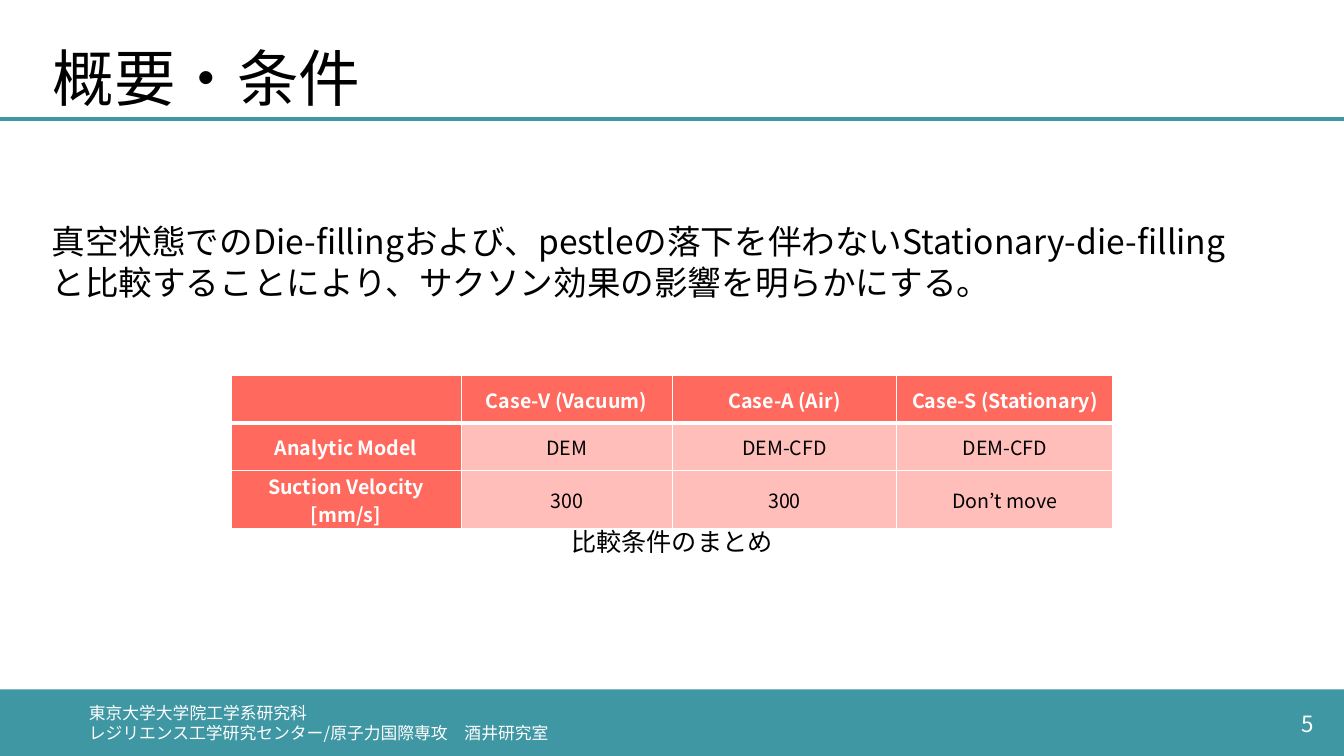
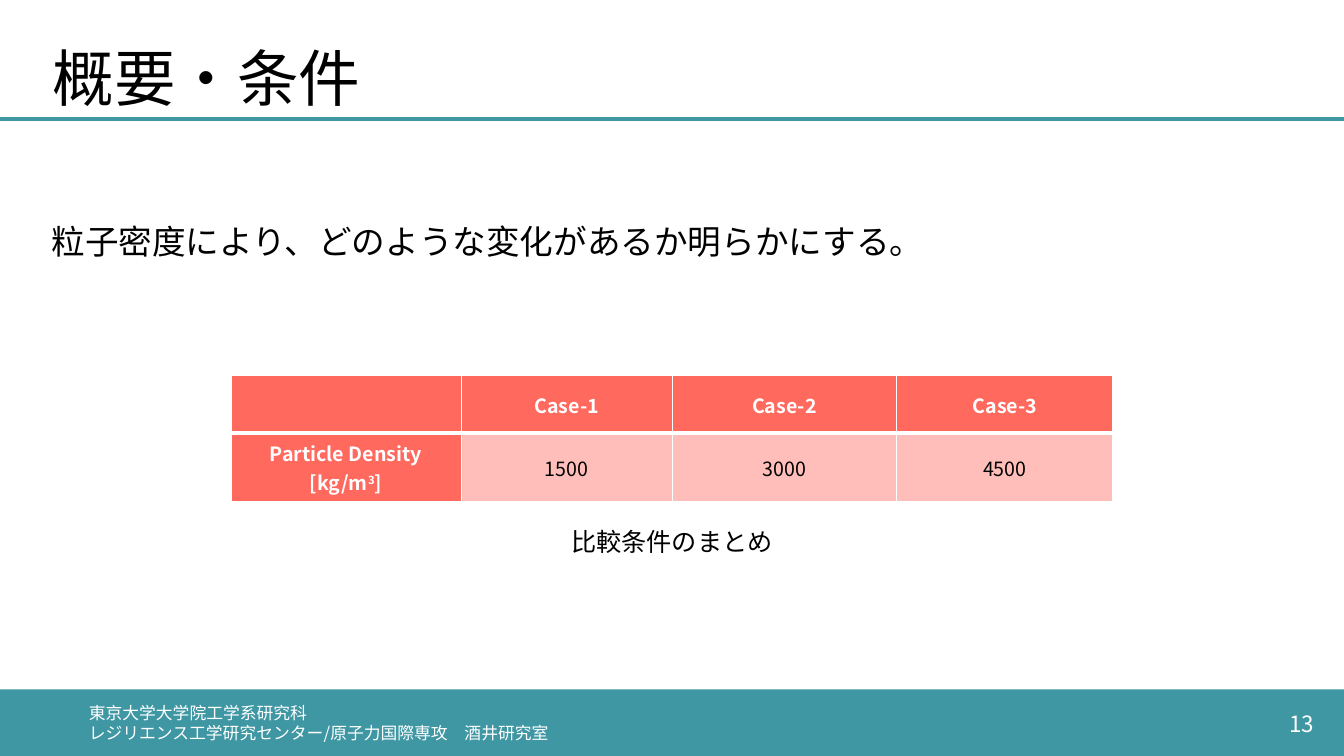
from lxml import etree
from pptx import Presentation
from pptx.dml.color import RGBColor
from pptx.enum.shapes import MSO_SHAPE
from pptx.enum.text import MSO_ANCHOR, MSO_AUTO_SIZE, PP_ALIGN
from pptx.oxml.ns import qn
from pptx.util import Cm, Pt

FONT = "Noto Sans CJK JP"
TEAL = RGBColor(0x3F, 0x97, 0xA4)
CORAL = RGBColor(0xFF, 0x69, 0x5E)
PINK = RGBColor(0xFF, 0xBE, 0xB9)
WHITE = RGBColor(0xFF, 0xFF, 0xFF)
BLACK = RGBColor(0, 0, 0)

SLIDE_W, SLIDE_H = 33.87, 19.05
BANDS = [(17.37, 1.68), (2.95, 0.1)]
TABLE_LEFT, TABLE_TOP = 5.82, 9.45
COL_WIDTHS = [5.8, 5.32, 5.66, 5.45]
TABLE_W = sum(COL_WIDTHS)

TITLE = "概要・条件"
CAPTION = "比較条件のまとめ"
FOOTER = [
    "東京大学大学院工学系研究科",
    "レジリエンス工学研究センター/原子力国際専攻　酒井研究室",
]
SLIDES = [
    {
        "number": "5",
        "body": "真空状態でのDie-fillingおよび、pestleの落下を伴わない"
                "Stationary-die-fillingと比較することにより、"
                "サクソン効果の影響を明らかにする。",
        "body_height": 2.31,
        "row_heights": [1.2, 1.2, 1.46],
        "rows": [
            ["", "Case-V (Vacuum)", "Case-A (Air)", "Case-S (Stationary)"],
            ["Analytic Model", "DEM", "DEM-CFD", "DEM-CFD"],
            ["Suction Velocity [mm/s]", "300", "300", "Don’t move"],
        ],
    },
    {
        "number": "13",
        "body": "粒子密度により、どのような変化があるか明らかにする。",
        "body_height": 1.27,
        "row_heights": [1.46, 1.72],
        "rows": [
            ["", "Case-1", "Case-2", "Case-3"],
            ["Particle Density [kg/m^3^]", "1500", "3000", "4500"],
        ],
    },
]


def write(tf, lines, size, color=BLACK, bold=False, align=PP_ALIGN.LEFT, spacing=None):
    tf.word_wrap = True
    for i, line in enumerate(lines):
        p = tf.paragraphs[0] if i == 0 else tf.add_paragraph()
        p.alignment = align
        if spacing:
            p.line_spacing = spacing
        for j, part in enumerate(line.split("^")):
            r = p.add_run()
            r.text = part
            r.font.name = FONT
            r.font.size = Pt(size)
            r.font.bold = bold
            r.font.color.rgb = color
            rPr = r.font._element
            etree.SubElement(rPr, qn("a:ea"), typeface=FONT)
            if j % 2:
                rPr.set("baseline", "30000")


def add_text(s, left, top, width, height, lines, size, anchor=MSO_ANCHOR.TOP, **fmt):
    tf = s.shapes.add_textbox(Cm(left), Cm(top), Cm(width), Cm(height)).text_frame
    tf.vertical_anchor = anchor
    write(tf, lines, size, **fmt)


def add_bands(s, layout):
    for top, height in BANDS:
        sp = s.shapes.add_shape(MSO_SHAPE.RECTANGLE, 0, Cm(top), Cm(SLIDE_W), Cm(height))
        sp.shadow.inherit = False
        sp.fill.solid()
        sp.fill.fore_color.rgb = TEAL
        sp.line.fill.background()
        layout.shapes._spTree.append(sp._element)


def set_borders(cell, widths):
    tcPr = cell._tc.get_or_add_tcPr()
    for i, (side, width) in enumerate(widths.items()):
        ln = etree.Element(qn(f"a:ln{side}"), w=str(Pt(width)))
        fill = etree.SubElement(ln, qn("a:solidFill"))
        etree.SubElement(fill, qn("a:srgbClr"), val=str(WHITE))
        tcPr.insert(i, ln)


def add_cases(s, rows, heights):
    frame = s.shapes.add_table(len(rows), len(COL_WIDTHS), Cm(TABLE_LEFT), Cm(TABLE_TOP),
                               Cm(TABLE_W), Cm(sum(heights)))
    table = frame.table
    for column, width in zip(table.columns, COL_WIDTHS):
        column.width = Cm(width)
    for i, (texts, height) in enumerate(zip(rows, heights)):
        table.rows[i].height = Cm(height)
        for j, text in enumerate(texts):
            cell = table.cell(i, j)
            head = i == 0 or j == 0
            cell.margin_left = cell.margin_right = cell.margin_top = Cm(0.03)
            cell.margin_bottom = 0
            cell.vertical_anchor = MSO_ANCHOR.MIDDLE
            cell.fill.solid()
            cell.fill.fore_color.rgb = CORAL if head else PINK
            set_borders(cell, {"L": 1, "R": 1, "T": 3 if i == 1 else 1, "B": 3 if i == 0 else 1})
            if text:
                write(cell.text_frame, [text], 14, color=WHITE if head else BLACK,
                      bold=head, align=PP_ALIGN.CENTER)


def add_slide(prs, layout, content):
    s = prs.slides.add_slide(layout)
    title = s.shapes.title
    title.left, title.top, title.width, title.height = Cm(1.07), 0, Cm(27.71), Cm(2.95)
    title.text_frame.auto_size = MSO_AUTO_SIZE.NONE
    title.text_frame.vertical_anchor = MSO_ANCHOR.MIDDLE
    write(title.text_frame, [TITLE], 44, spacing=1.5)
    add_text(s, 25.74, 17.73, 7.62, 1.02, [content["number"]], 16, color=WHITE,
             align=PP_ALIGN.RIGHT, anchor=MSO_ANCHOR.MIDDLE)
    add_text(s, 1.99, 17.71, 15.29, 1.02, FOOTER, 12, color=WHITE, anchor=MSO_ANCHOR.MIDDLE)
    add_cases(s, content["rows"], content["row_heights"])
    add_text(s, TABLE_LEFT, 13.13, TABLE_W, 1.02, [CAPTION], 18, align=PP_ALIGN.CENTER)
    add_text(s, 1.05, 5.45, 30.71, content["body_height"], [content["body"]], 24)
    return s


def main():
    prs = Presentation()
    prs.slide_width, prs.slide_height = Cm(SLIDE_W), Cm(SLIDE_H)
    layout = prs.slide_layouts[5]
    slides = [add_slide(prs, layout, content) for content in SLIDES]
    add_bands(slides[0], layout)
    prs.save("out.pptx")


if __name__ == "__main__":
    main()
